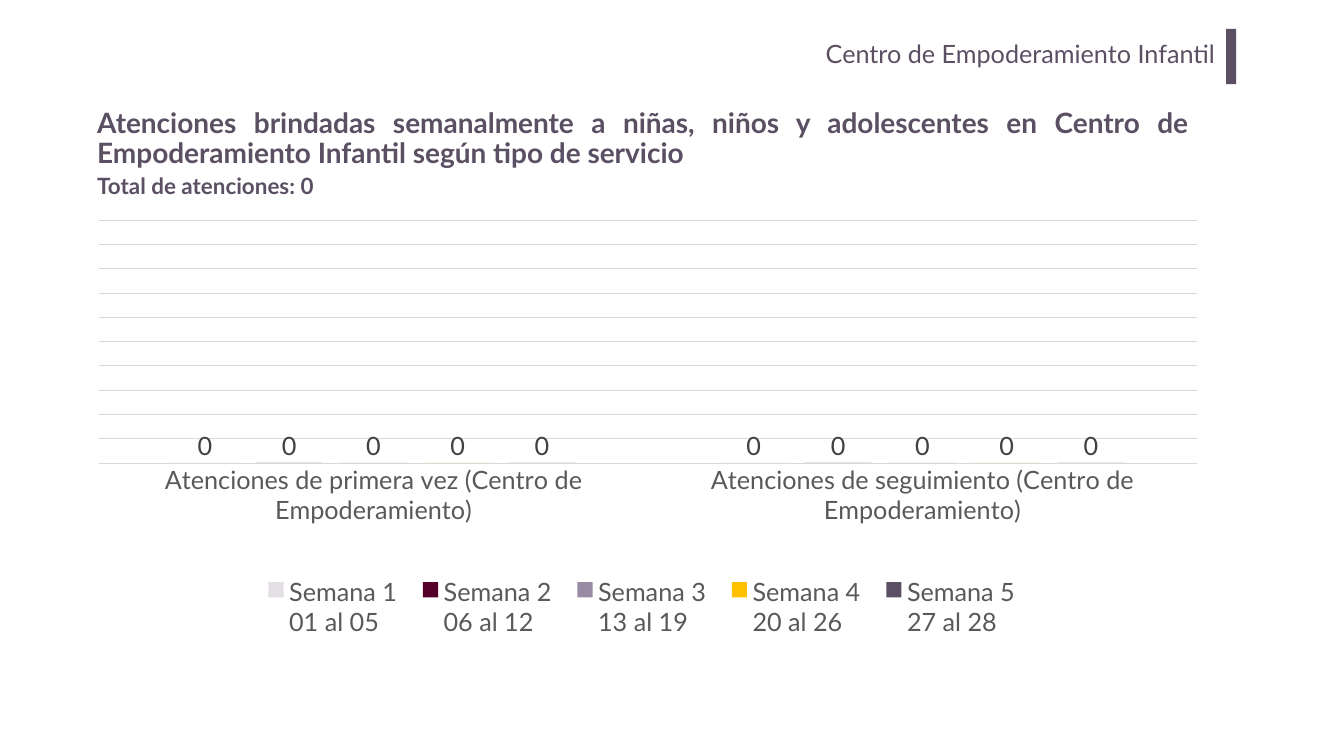
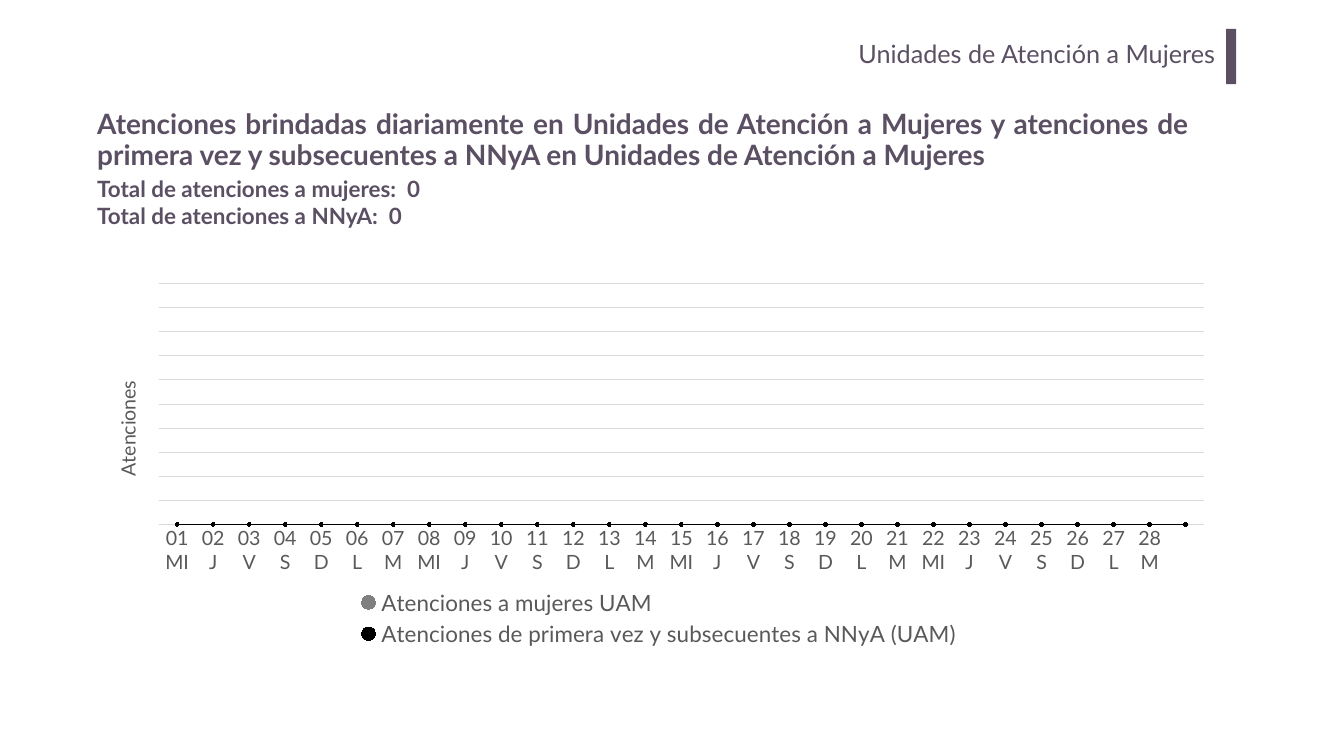
import itertools

import pptx
import pptx.chart.data
import pptx.dml.color
import pptx.enum.chart
import pptx.enum.shapes
import pptx.enum.text
import pptx.oxml
import pptx.oxml.ns
import pptx.util

Cm = pptx.util.Cm
Pt = pptx.util.Pt
RGB = pptx.dml.color.RGBColor
ALIGN = pptx.enum.text.PP_ALIGN
CHART = pptx.enum.chart

PLUM = RGB(0x5B, 0x4F, 0x63)
PALE_LILAC = RGB(0xE3, 0xDF, 0xE5)
WINE = RGB(0x54, 0x00, 0x2A)
LILAC = RGB(0x99, 0x8B, 0xA3)
AMBER = RGB(0xFF, 0xC0, 0x00)
GRAY = RGB(0x80, 0x80, 0x80)
BLACK = RGB(0x00, 0x00, 0x00)
AXIS_TEXT = RGB(0x59, 0x59, 0x59)
LABEL_TEXT = RGB(0x40, 0x40, 0x40)
GRID = RGB(0xD9, 0xD9, 0xD9)
FONT = "Lato"

LEFT = 4.65
CHART_WIDTH = 57.1

WEEKS = [
    ("Semana 1\n01 al 05", PALE_LILAC),
    ("Semana 2\n06 al 12", WINE),
    ("Semana 3\n13 al 19", LILAC),
    ("Semana 4\n20 al 26", AMBER),
    ("Semana 5\n27 al 28", PLUM),
]
SERVICES = [
    "Atenciones de primera vez (Centro de Empoderamiento)",
    "Atenciones de seguimiento (Centro de Empoderamiento)",
]
WEEKDAYS = itertools.cycle(["MI", "J", "V", "S", "D", "L", "M"])
DAYS = [f"{day:02d}\n{weekday}" for day, weekday in zip(range(1, 29), WEEKDAYS)]
DAILY = [
    ("Atenciones a mujeres UAM", GRAY),
    ("Atenciones de primera vez y subsecuentes a NNyA (UAM)", BLACK),
]


def set_font(font, size, color, bold=False, name=FONT):
    font.name = name
    font.size = Pt(size)
    font.bold = bold
    font.color.rgb = color


def add_text(slide, box, text, size, bold=False, align=ALIGN.LEFT):
    frame = slide.shapes.add_textbox(*map(Cm, box)).text_frame
    frame.word_wrap = True
    frame.text = text
    for paragraph in frame.paragraphs:
        paragraph.alignment = align
        for run in paragraph.runs:
            set_font(run.font, size, PLUM, bold)
    return frame


def add_header(slide, box, area):
    """Name of the area, closed on the right by a vertical bar."""
    left, top, width, height = box
    frame = add_text(slide, (left, top + 0.25, width, height - 0.2),
                     area, 36, align=ALIGN.RIGHT)
    frame.margin_left = frame.margin_right = Cm(0.51)
    frame.margin_top = frame.margin_bottom = Cm(0.25)
    bar = slide.shapes.add_shape(
        pptx.enum.shapes.MSO_SHAPE.RECTANGLE,
        Cm(left + width + 0.05), Cm(top), Cm(0.51), Cm(height))
    bar.shadow.inherit = False
    bar.fill.solid()
    bar.fill.fore_color.rgb = PLUM
    bar.line.fill.background()


def add_heading(slide, box, title, totals, totals_box):
    """Justified title with the totals below it."""
    frame = add_text(slide, box, title, 40, True, ALIGN.JUSTIFY)
    frame.vertical_anchor = pptx.enum.text.MSO_ANCHOR.MIDDLE
    frame.paragraphs[0].line_spacing = 0.9
    totals_frame = add_text(slide, totals_box, "\n".join(totals), 32, True)
    totals_frame.auto_size = pptx.enum.text.MSO_AUTO_SIZE.SHAPE_TO_FIT_TEXT


def place(part, index, x, y, width=None, height=None, inner=False):
    """Give a chart part a manual layout, in fractions of the chart."""
    for old in part.xpath("c:layout"):
        part.remove(old)
    values = [("layoutTarget", "inner")] if inner else []
    values += [("xMode", "edge"), ("yMode", "edge"), ("x", x), ("y", y)]
    if width:
        values += [("w", width), ("h", height)]
    tags = "".join(f'<c:{tag} val="{value}"/>' for tag, value in values)
    part.insert(index, pptx.oxml.parse_xml(
        f'<c:layout {pptx.oxml.ns.nsdecls("c")}>'
        f"<c:manualLayout>{tags}</c:manualLayout></c:layout>"))


def add_attention_chart(slide, box, kind, categories, series, count,
                        axis_size, legend_size, plot_area):
    data = pptx.chart.data.CategoryChartData(number_format="0")
    data.categories = categories
    for name, _ in series:
        data.add_series(name, [0] * count)
    chart = slide.shapes.add_chart(kind, *map(Cm, box), data).chart
    chart.has_title = False
    set_font(chart.font, 10, BLACK, name="Arial")

    # Axes
    days = chart.category_axis
    days.major_tick_mark = CHART.XL_TICK_MARK.NONE
    days.format.line.color.rgb = GRID
    days.format.line.width = Pt(0.75)
    set_font(days.tick_labels.font, axis_size, AXIS_TEXT)
    amounts = chart.value_axis
    amounts.visible = False
    amounts.has_major_gridlines = True
    amounts.major_gridlines.format.line.color.rgb = GRID
    amounts.major_gridlines.format.line.width = Pt(0.75)

    # Legend
    chart.has_legend = True
    chart.legend.position = CHART.XL_LEGEND_POSITION.BOTTOM
    chart.legend.include_in_layout = False
    set_font(chart.legend.font, legend_size, AXIS_TEXT)

    place(chart._chartSpace.xpath("c:chart/c:plotArea")[0], 0,
          *plot_area, inner=True)
    return chart


def add_weekly_chart(slide, box):
    chart = add_attention_chart(
        slide, box, CHART.XL_CHART_TYPE.COLUMN_CLUSTERED, SERVICES, WEEKS,
        len(SERVICES), 36, 36, (0.006, 0.039, 0.969, 0.512))
    place(chart._chartSpace.xpath("c:chart/c:legend")[0], 1,
          0.14, 0.79, 0.69, 0.13)
    plot = chart.plots[0]
    plot.vary_by_categories = False
    plot.gap_width = 219
    plot.overlap = -27
    for week, (_, color) in zip(plot.series, WEEKS):
        week.format.fill.solid()
        week.format.fill.fore_color.rgb = color
        labels = week.data_labels
        labels.show_value = True
        labels.position = CHART.XL_LABEL_POSITION.OUTSIDE_END
        labels.number_format = "0"
        labels.number_format_is_linked = False
        set_font(labels.font, 36, LABEL_TEXT)


def add_daily_chart(slide, box):
    # One extra point follows the last named day
    chart = add_attention_chart(
        slide, box, CHART.XL_CHART_TYPE.LINE_MARKERS, DAYS, DAILY,
        len(DAYS) + 1, 28, 32, (0.059, 0.02, 0.922, 0.642))
    chart.plots[0].vary_by_categories = False
    for line, (_, color) in zip(chart.plots[0].series, DAILY):
        line.smooth = False
        line.format.line.color.rgb = color
        line.format.line.width = Pt(1)
        line.marker.style = CHART.XL_MARKER_STYLE.CIRCLE
        line.marker.size = 5
        line.marker.format.fill.solid()
        line.marker.format.fill.fore_color.rgb = color
        line.marker.format.line.color.rgb = color

    # Upright title of the hidden value axis
    caption = chart.value_axis.axis_title.text_frame
    caption.text = "Atenciones"
    set_font(caption.paragraphs[0].runs[0].font, 28, AXIS_TEXT)
    title = chart._chartSpace.xpath(".//c:valAx/c:title")[0]
    body = title.xpath(".//a:bodyPr")[0]
    body.set("rot", "-5400000")
    body.set("vert", "horz")
    place(title, 1, 0.016, 0.27)


def add_report_slide(prs, area, title, title_top, totals, totals_box,
                     add_chart, chart_top, chart_height):
    slide = prs.slides.add_slide(prs.slide_layouts[6])
    add_header(slide, (10.19, 1.45, 51.56, 2.79), area)
    add_heading(slide, (LEFT, title_top, 55.5, 3.68), title, totals, totals_box)
    add_chart(slide, (LEFT, chart_top, CHART_WIDTH, chart_height))


def main():
    prs = pptx.Presentation()
    prs.slide_width = Cm(67.74)
    prs.slide_height = Cm(38.1)
    add_report_slide(
        prs, "Centro de Empoderamiento Infantil",
        "Atenciones brindadas semanalmente a niñas, niños y adolescentes en "
        "Centro de Empoderamiento Infantil según tipo de servicio",
        5.18, ["Total de atenciones: 0"], (LEFT, 8.53, 14.33, 1.63),
        add_weekly_chart, 10.16, 23.9)
    add_report_slide(
        prs, "Unidades de Atención a Mujeres",
        "Atenciones brindadas diariamente en Unidades de Atención a Mujeres y "
        "atenciones de primera vez y subsecuentes a NNyA en Unidades de "
        "Atención a Mujeres",
        5.26, ["Total de atenciones a mujeres:  0",
               "Total de atenciones a NNyA:  0"], (LEFT, 8.71, 20.62, 3),
        add_daily_chart, 13.89, 18.95)
    prs.save("out.pptx")


if __name__ == "__main__":
    main()
